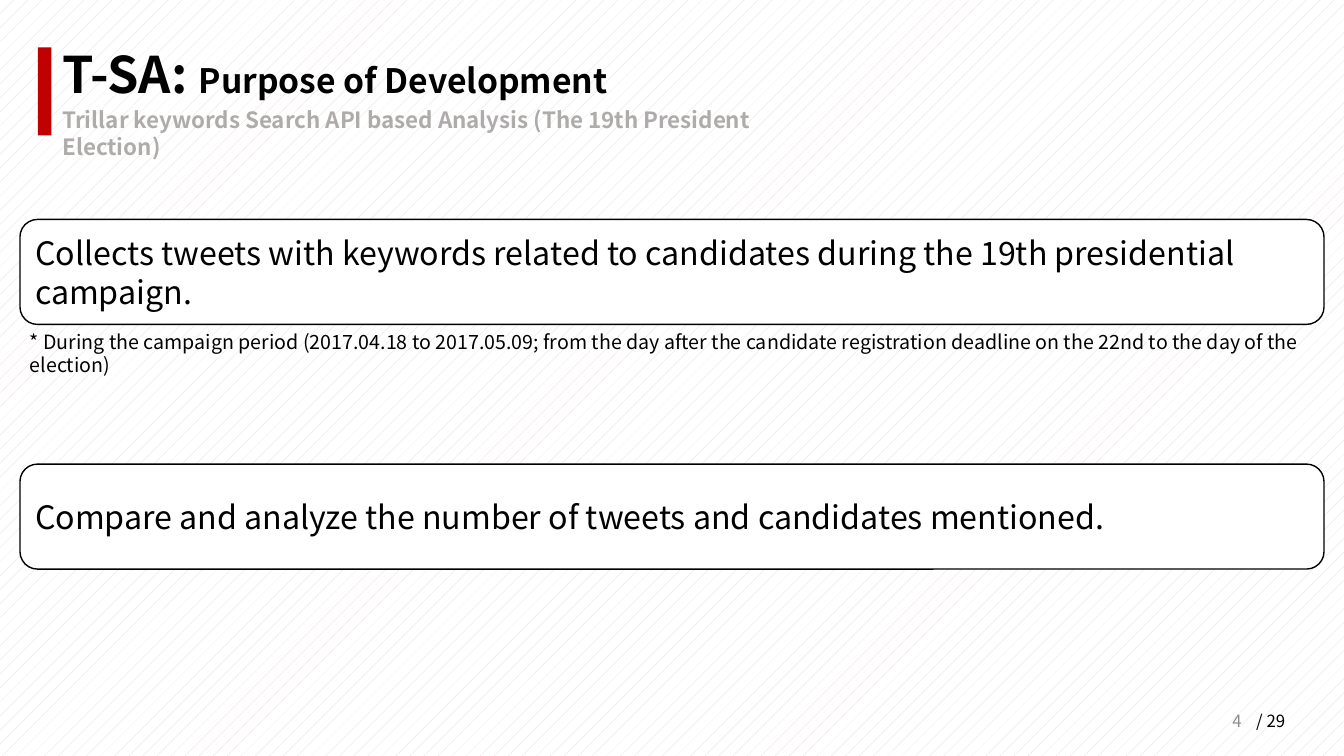
from pptx import Presentation
from pptx import util as u
from pptx.dml.color import RGBColor
from pptx.enum import dml, shapes, text

FONT = "Noto Sans CJK KR"
PX = 9525
WIDE, HIGH = 1280, 720


def px(*nums):
    """Turn whole pixels into EMU."""
    return [u.Emu(n * PX) for n in nums]


def tint(code):
    """Turn a hex string into a colour."""
    return RGBColor.from_string(code)


def write(shape, runs, color="000000", bold=False, wrap=True,
          align=text.PP_ALIGN.LEFT, anchor=text.MSO_ANCHOR.TOP):
    """Fill a shape with one paragraph of (words, size) runs."""
    frame = shape.text_frame
    frame.word_wrap = wrap
    frame.vertical_anchor = anchor
    para = frame.paragraphs[0]
    para.alignment = align
    for words, size in runs:
        run = para.add_run()
        run.text = words
        run.font.name = FONT
        run.font.size = u.Pt(size)
        run.font.bold = bold
        run.font.color.rgb = tint(color)


def label(slide, box, runs, **form):
    """Add a text box."""
    write(slide.shapes.add_textbox(*px(*box)), runs, **form)


def block(slide, kind, box, fill, line=None):
    """Add a flat shape with an optional outline."""
    shape = slide.shapes.add_shape(kind, *px(*box))
    shape.shadow.inherit = False
    shape.fill.solid()
    shape.fill.fore_color.rgb = tint(fill)
    if line:
        shape.line.color.rgb = tint(line)
        shape.line.width = u.Pt(1)
    else:
        shape.line.fill.background()
    return shape


def backdrop(slide):
    """Give the slide its faint pattern."""
    fill = slide.background.fill
    fill.patterned()
    fill.pattern = dml.MSO_PATTERN.PERCENT_5
    fill.fore_color.rgb = tint("E3D9D7")
    fill.back_color.rgb = tint("FFFFFF")


def header(slide, x, y, w, h):
    """Place the red bar, title and subtitle."""
    bar = 13
    block(slide, shapes.MSO_SHAPE.RECTANGLE, (x, y, bar, h), "C00000")
    left = x + bar + 1
    label(slide, (left, y - 9, w, 113),
          [("T-SA: ", 36), ("Purpose of Development", 24)], bold=True)
    label(slide, (left, y + 51, w - 18, 36),
          [("Trillar keywords Search API based Analysis "
            "(The 19th President Election)", 16)],
          color="AFABAB", bold=True)


def point(slide, x, y, w, h, words, note=None):
    """Place a rounded statement with an optional note below."""
    card = block(slide, shapes.MSO_SHAPE.ROUNDED_RECTANGLE,
                 (x, y, w, h), "FFFFFF", "000000")
    write(card, [(words, 23)], anchor=text.MSO_ANCHOR.MIDDLE)
    if note:
        label(slide, (x, y + h, w, 33), [(note, 14)])


def footer(slide, x, y, w, h):
    """Place the page number and the page count."""
    label(slide, (x, y, w, h), [("4", 12)], color="8C8C8C",
          align=text.PP_ALIGN.RIGHT, anchor=text.MSO_ANCHOR.MIDDLE)
    label(slide, (x + w - 5, y + 5, 52, 29), [("/ 29", 12)], wrap=False)


def main():
    """Build and save the slide."""
    deck = Presentation()
    deck.slide_width, deck.slide_height = px(WIDE, HIGH)
    slide = deck.slides.add_slide(deck.slide_layouts[6])
    backdrop(slide)
    header(slide, 36, 45, 738, 84)
    points = [
        ("Collects tweets with keywords related to candidates during "
         "the 19th presidential campaign.",
         "* During the campaign period (2017.04.18 to 2017.05.09; from the "
         "day after the candidate registration deadline on the 22nd to the "
         "day of the election)"),
        ("Compare and analyze the number of tweets and candidates "
         "mentioned.", None),
    ]
    side = 19
    for i, (words, note) in enumerate(points):
        point(slide, side, 209 + 233 * i, WIDE - 2 * side, 100, words, note)
    footer(slide, 904, 667, 288, 38)
    deck.save("out.pptx")


if __name__ == "__main__":
    main()
